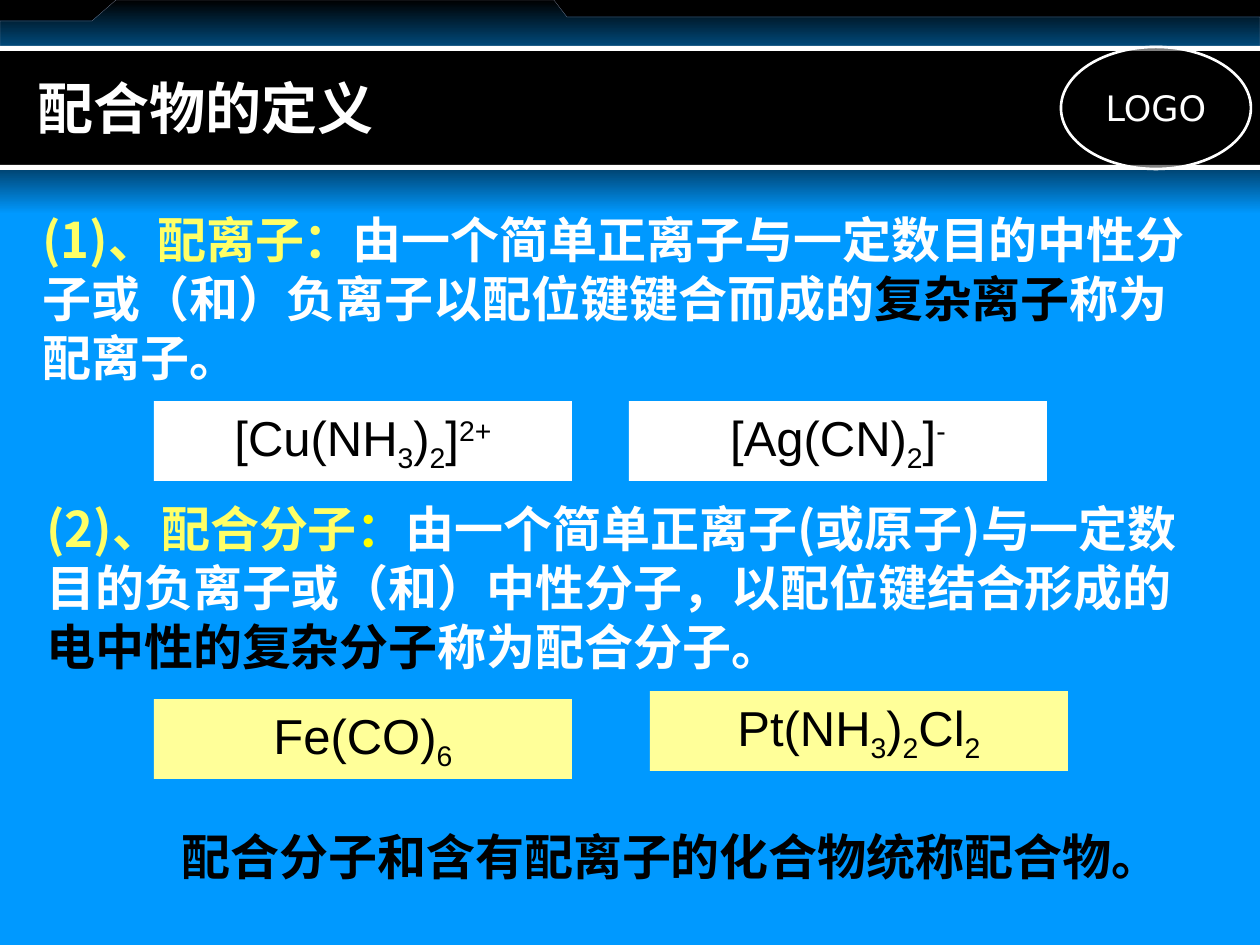
from pptx import Presentation
from pptx.dml.color import RGBColor
from pptx.enum.shapes import MSO_SHAPE
from pptx.enum.text import MSO_ANCHOR, PP_ALIGN
from pptx.oxml.ns import qn
from pptx.util import Pt
from lxml import etree

RECT, OVAL = MSO_SHAPE.RECTANGLE, MSO_SHAPE.OVAL
MIDDLE, TOP = MSO_ANCHOR.MIDDLE, MSO_ANCHOR.TOP
CENTER, LEFT = PP_ALIGN.CENTER, PP_ALIGN.LEFT

BLACK = RGBColor(0x00, 0x00, 0x00)
WHITE = RGBColor(0xFF, 0xFF, 0xFF)
BLUE = RGBColor(0x00, 0x99, 0xFF)
NAVY = RGBColor(0x00, 0x46, 0x75)
GREY = RGBColor(0x87, 0x8F, 0xA5)
LEMON = RGBColor(0xFF, 0xFF, 0x66)
YELLOW = RGBColor(0xFF, 0xFF, 0x00)
CREAM = RGBColor(0xFF, 0xFF, 0x99)

PX = 914400 / 126
SANS, CJK, ARIAL = "DejaVu Sans", "Noto Sans CJK SC", "Arial"

prs = Presentation()
prs.slide_width, prs.slide_height = round(1260 * PX), round(945 * PX)
slide = prs.slides.add_slide(prs.slide_layouts[5])
shapes = slide.shapes
slide.background.fill.solid()
slide.background.fill.fore_color.rgb = BLACK


def add_form(kind, box, color):
    form = shapes.add_shape(kind, *[round(v * PX) for v in box])
    form.shadow.inherit = False
    form.fill.solid()
    form.fill.fore_color.rgb = color
    form.line.fill.background()
    return form


def write(frame, runs, face, size, bold, align, anchor):
    frame.word_wrap = True
    frame.vertical_anchor = anchor
    para = frame.paragraphs[0]
    para.alignment = align
    for text, color, base in runs:
        run = para.add_run()
        run.text = text
        font = run.font
        font.name, font.size, font.bold = face, Pt(size), bold
        font.color.rgb = color
        props = run._r.get_or_add_rPr()
        if base:
            props.set("baseline", str(base * 1000))
        if face == CJK:
            props.find(qn("a:latin")).addnext(
                etree.Element(qn("a:ea"), typeface=CJK))


add_form(RECT, (0, 165, 1260, 780), BLUE)
glow = add_form(RECT, (0, 170, 1260, 44), BLUE)

build = shapes.build_freeform(0, 96, scale=PX)
build.add_line_segments([(1260, 96), (1260, 17), (567, 17), (554, 0),
                         (116, 0), (92, 21), (0, 21)], close=True)
tab = build.convert_to_shape()
tab.shadow.inherit = False
tab.line.color.rgb = GREY
tab.line.width = Pt(0.11)

for form, color in ((glow, NAVY), (tab, BLACK)):
    form.fill.gradient()
    form.fill.gradient_angle = 270
    for stop, tone, place in zip(form.fill.gradient_stops, (color, BLUE), (0, 1)):
        stop.color.rgb = tone
        stop.position = place

add_form(RECT, (0, 48, 1260, 122), BLACK)
for top in (165, 46):
    add_form(RECT, (0, top, 1260, 5), WHITE)

badge = add_form(OVAL, (1061, 47, 190, 122), BLACK)
badge.line.color.rgb = WHITE
badge.line.width = Pt(1.5)
tint = badge.fill._xPr.find(qn("a:solidFill"))[0]
etree.SubElement(tint, qn("a:alpha"), val="50000")
write(badge.text_frame, [("LOGO", WHITE, 0)], SANS, 20, False, CENTER, MIDDLE)
badge.text_frame.word_wrap = False

title = shapes.title
title.left, title.top, title.width, title.height = [
    round(v * PX) for v in (25, 50, 893, 115)]
write(title.text_frame, [("配合物的定义", WHITE, 0)], SANS, 32, True, LEFT, MIDDLE)
shapes._spTree.append(title._element)

notes = [
    ((30, 204, 1196, 189), [
        ("(1)、配离子：", LEMON, 0),
        ("由一个简单正离子与一定数目的中性分子或（和）负离子以配位键键合而成的", WHITE, 0),
        ("复杂离子", BLACK, 0),
        ("称为配离子。", WHITE, 0)], CJK, LEFT),
    ((34, 493, 1181, 189), [
        ("(2)、配合分子", LEMON, 0),
        ("：", YELLOW, 0),
        ("由一个简单正离子(或原子)与一定数目的负离子或（和）中性分子，以配位键结合形成的", WHITE, 0),
        ("电中性的复杂分子", BLACK, 0),
        ("称为配合分子。", WHITE, 0)], CJK, LEFT),
    ((145, 820, 1003, 72), [
        ("配合分子和含有配离子的化合物统称配合物。", BLACK, 0)], ARIAL, CENTER),
]
for box, runs, face, align in notes:
    note = shapes.add_textbox(*[round(v * PX) for v in box])
    write(note.text_frame, runs, face, 28, True, align, TOP)
    note.text_frame.paragraphs[0].line_spacing = Pt(33.5)

cards = [
    (154, 401, WHITE, [("[Cu(NH", 0), ("3", -25), (")", 0), ("2", -25),
                       ("]", 0), ("2+", 30)]),
    (629, 401, WHITE, [("[Ag(CN)", 0), ("2", -25), ("]", 0), ("-", 30)]),
    (154, 699, CREAM, [("Fe(CO)", 0), ("6", -25)]),
    (650, 691, CREAM, [("Pt(NH", 0), ("3", -25), (")", 0), ("2", -25),
                       ("Cl", 0), ("2", -25)]),
]
for left, top, color, parts in cards:
    card = add_form(RECT, (left, top, 418, 80), color)
    runs = [(text, BLACK, base) for text, base in parts]
    write(card.text_frame, runs, ARIAL, 28, False, CENTER, TOP)

prs.save("out.pptx")
